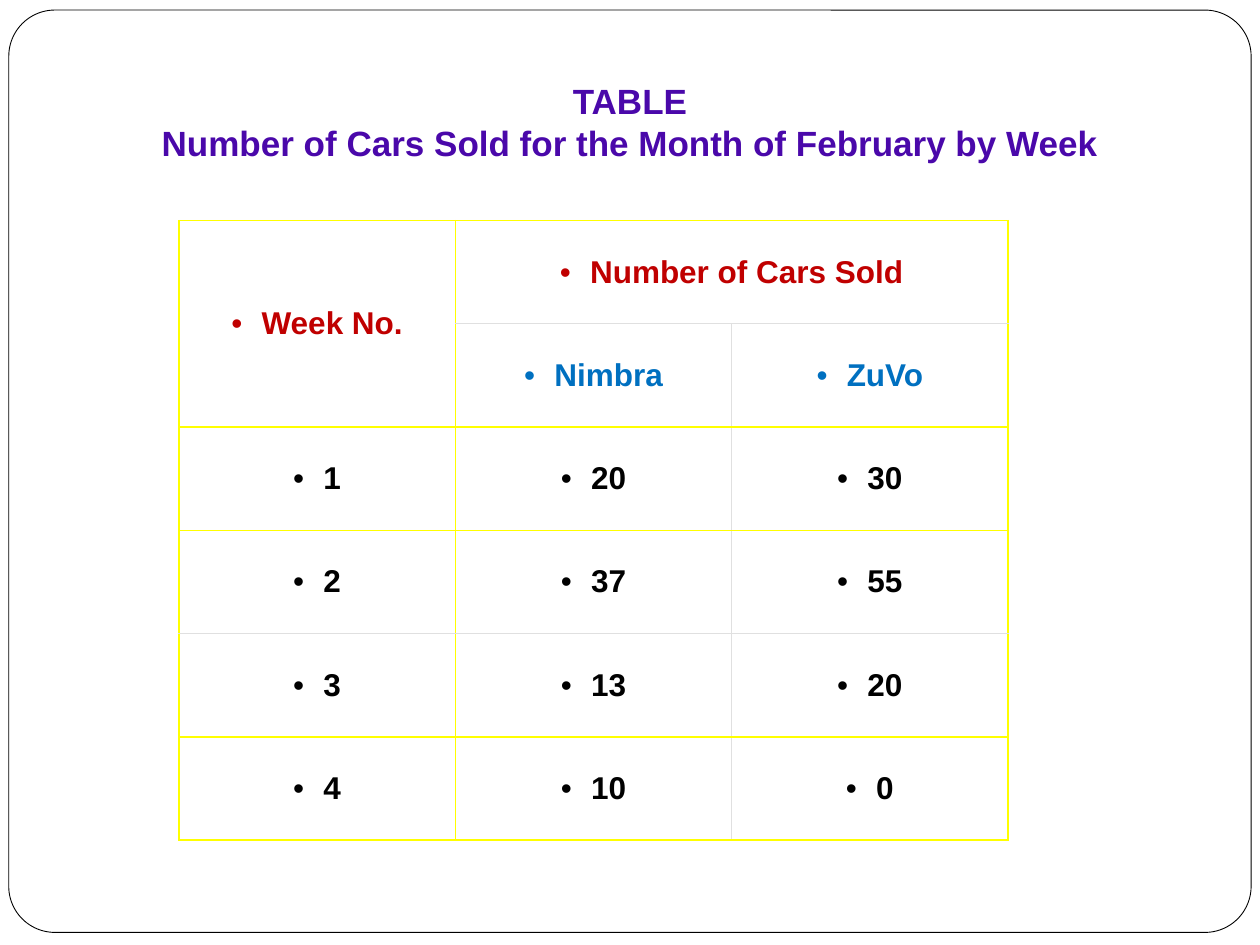
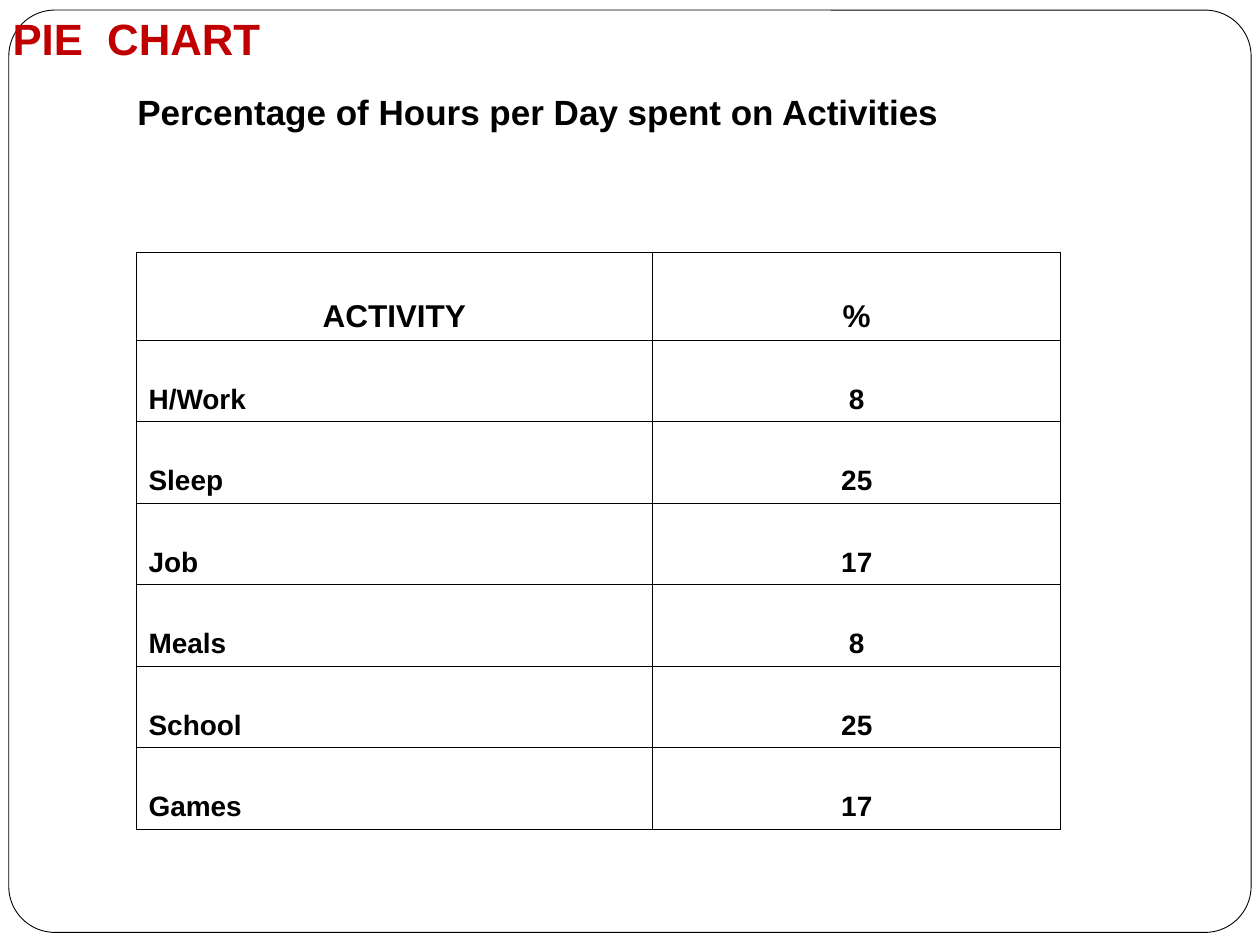
from dataclasses import dataclass
from typing import Any

from lxml.etree import SubElement
from pptx import Presentation
from pptx.dml.color import RGBColor
from pptx.enum.shapes import MSO_SHAPE as Preset
from pptx.enum.text import MSO_ANCHOR as Anchor, MSO_AUTO_SIZE as AutoSize, PP_ALIGN as Align
from pptx.oxml.ns import qn
from pptx.util import Inches, Pt

COLORS = {
    "white": "FFFFFF",
    "black": "000000",
    "purple": "4A08AA",
    "red": "C00000",
    "blue": "0070C0",
    "yellow": "FFFF00",
    "hairline": "E0E0E0",
}
FONT = "Arial"
BULLET_INDENT = Inches(0.24)
FRAME_BOX = (0.07, 0.08, 9.86, 7.32)


@dataclass(frozen=True)
class TextStyle:
    size: float
    color: str
    align: Align = Align.CENTER
    bulleted: bool = False


@dataclass(frozen=True)
class TextBlock:
    lines: tuple[str, ...]
    box: tuple[float, float, float, float]
    style: TextStyle
    frame_format: dict[str, Any]


@dataclass(frozen=True)
class Border:
    color: str
    width: float


@dataclass(frozen=True)
class TableDesign:
    left: float
    top: float
    column_widths: tuple[float, ...]
    row_heights: tuple[float, ...]
    anchor: Anchor
    border: Border
    hairline_rows: tuple[int, ...] = ()
    hairline_columns: tuple[int, ...] = ()


HAIRLINE = Border("hairline", 0.5)

CARS_TITLE = TextBlock(
    ("TABLE", "Number of Cars Sold for the Month of February by Week"),
    (0, 0.58, 10, 0.77),
    TextStyle(20, "purple"),
    {"vertical_anchor": Anchor.MIDDLE},
)
PIE_TITLE = TextBlock(
    ("PIE  CHART",),
    (0, 0, 4.67, 0.61),
    TextStyle(25, "red", Align.LEFT),
    {"vertical_anchor": Anchor.BOTTOM, "margin_bottom": Inches(0.1)},
)
PIE_SUBTITLE = TextBlock(
    ("Percentage of Hours per Day spent on Activities",),
    (0, 0.67, 8, 0.44),
    TextStyle(20, "black"),
    {"vertical_anchor": Anchor.TOP, "margin_left": Inches(0.64)},
)

CARS_DESIGN = TableDesign(
    1.42, 1.75, (6.58 / 3,) * 3, (4.92 / 6,) * 6, Anchor.MIDDLE, Border("yellow", 1),
    hairline_rows=(1, 4), hairline_columns=(2,),
)
CARS_ROWS = [
    ("Week No.", "Number of Cars Sold", ""),
    ("", "Nimbra", "ZuVo"),
    ("1", "20", "30"),
    ("2", "37", "55"),
    ("3", "13", "20"),
    ("4", "10", "0"),
]
CARS_MERGES = [((0, 0), (1, 0)), ((0, 1), (0, 2))]
CARS_ROW_COLORS = ("red", "blue")

ACTIVITY_DESIGN = TableDesign(
    1.08, 2, (4.1, 3.24), (0.7,) + (3.88 / 6,) * 6, Anchor.BOTTOM, Border("black", 0.45)
)
ACTIVITY_ROWS = [
    ("ACTIVITY", "%"),
    ("H/Work", "8"),
    ("Sleep", "25"),
    ("Job", "17"),
    ("Meals", "8"),
    ("School", "25"),
    ("Games", "17"),
]


def rgb(name: str) -> RGBColor:
    return RGBColor.from_string(COLORS[name])


def set_attributes(target: Any, values: dict[str, Any]) -> None:
    for name, value in values.items():
        setattr(target, name, value)


def add_bullet(paragraph: Any, color: str) -> None:
    properties = paragraph._p.get_or_add_pPr()
    properties.set("marL", str(BULLET_INDENT))
    properties.set("indent", str(-BULLET_INDENT))
    bullet_color = SubElement(properties, qn("a:buClr"))
    SubElement(bullet_color, qn("a:srgbClr"), val=COLORS[color])
    SubElement(properties, qn("a:buFont"), typeface=FONT)
    SubElement(properties, qn("a:buChar"), char="•")


def write_lines(text_frame: Any, lines: tuple[str, ...], style: TextStyle) -> None:
    text_frame.text = "\n".join(lines)
    for paragraph in text_frame.paragraphs:
        paragraph.alignment = style.align
        if style.bulleted:
            add_bullet(paragraph, style.color)
        for run in paragraph.runs:
            set_attributes(run.font, {"name": FONT, "size": Pt(style.size), "bold": True})
            run.font.color.rgb = rgb(style.color)


def fill_text_shape(shape: Any, block: TextBlock) -> None:
    lengths = map(Inches, block.box)
    set_attributes(shape, dict(zip(("left", "top", "width", "height"), lengths)))
    frame_format = {"word_wrap": True, "auto_size": AutoSize.NONE} | block.frame_format
    set_attributes(shape.text_frame, frame_format)
    write_lines(shape.text_frame, block.lines, block.style)


def add_page_frame(slide: Any) -> None:
    """Draw the rounded frame behind everything else on the slide."""
    frame = slide.shapes.add_shape(Preset.ROUNDED_RECTANGLE, *map(Inches, FRAME_BOX))
    frame.adjustments[0] = 0.05
    frame.shadow.inherit = False
    frame.fill.solid()
    frame.fill.fore_color.rgb = rgb("white")
    frame.line.color.rgb = rgb("black")
    frame.line.width = Pt(0.5)
    slide.shapes.element.insert(2, frame.element)


def add_titled_slide(presentation: Any, title: TextBlock) -> Any:
    slide = presentation.slides.add_slide(presentation.slide_layouts[5])
    fill_text_shape(slide.shapes.title, title)
    add_page_frame(slide)
    return slide


def draw_borders(cell: Any, row: int, column: int, design: TableDesign) -> None:
    """Give each edge the table border, or a hairline where the design asks for one."""
    right = column + (cell.span_width if cell.is_merge_origin else 1)
    bottom = row + (cell.span_height if cell.is_merge_origin else 1)
    edges = {
        "a:lnL": column in design.hairline_columns,
        "a:lnR": right in design.hairline_columns,
        "a:lnT": row in design.hairline_rows,
        "a:lnB": bottom in design.hairline_rows,
    }
    properties = cell._tc.get_or_add_tcPr()
    for tag, is_hairline in edges.items():
        border = HAIRLINE if is_hairline else design.border
        line = SubElement(properties, qn(tag), w=str(Pt(border.width)))
        fill = SubElement(line, qn("a:solidFill"))
        SubElement(fill, qn("a:srgbClr"), val=COLORS[border.color])


def add_grid(slide: Any, design: TableDesign) -> Any:
    """Add an empty table and return it."""
    table = slide.shapes.add_table(
        len(design.row_heights), len(design.column_widths),
        Inches(design.left), Inches(design.top),
        Inches(sum(design.column_widths)), Inches(sum(design.row_heights)),
    ).table
    set_attributes(table, {"first_row": False, "horz_banding": False})
    for column, width in zip(table.columns, design.column_widths):
        column.width = Inches(width)
    for row, height in zip(table.rows, design.row_heights):
        row.height = Inches(height)
    return table


def fill_grid(
    table: Any, design: TableDesign, rows: list[tuple[str, ...]], styles: list[list[TextStyle]]
) -> None:
    for row, texts in enumerate(rows):
        for column, text in enumerate(texts):
            cell = table.cell(row, column)
            cell.vertical_anchor = design.anchor
            draw_borders(cell, row, column, design)
            cell.fill.background()
            if text:
                write_lines(cell.text_frame, (text,), styles[row][column])


def build_cars_slide(presentation: Any) -> None:
    slide = add_titled_slide(presentation, CARS_TITLE)
    table = add_grid(slide, CARS_DESIGN)
    for first, last in CARS_MERGES:
        table.cell(*first).merge(table.cell(*last))
    data_colors = ("black",) * (len(CARS_ROWS) - len(CARS_ROW_COLORS))
    styles = [
        [TextStyle(18, color, bulleted=True)] * len(CARS_DESIGN.column_widths)
        for color in CARS_ROW_COLORS + data_colors
    ]
    fill_grid(table, CARS_DESIGN, CARS_ROWS, styles)


def build_activity_slide(presentation: Any) -> None:
    slide = add_titled_slide(presentation, PIE_TITLE)
    header = [TextStyle(18, "black")] * 2
    data = [TextStyle(16, "black", Align.LEFT), TextStyle(16, "black")]
    styles = [header] + [data] * (len(ACTIVITY_ROWS) - 1)
    fill_grid(add_grid(slide, ACTIVITY_DESIGN), ACTIVITY_DESIGN, ACTIVITY_ROWS, styles)
    subtitle = slide.shapes.add_textbox(*map(Inches, PIE_SUBTITLE.box))
    fill_text_shape(subtitle, PIE_SUBTITLE)


def main() -> None:
    presentation = Presentation()
    presentation.slide_width = Inches(10)
    presentation.slide_height = Inches(7.5)
    build_cars_slide(presentation)
    build_activity_slide(presentation)
    presentation.save("out.pptx")


if __name__ == "__main__":
    main()
